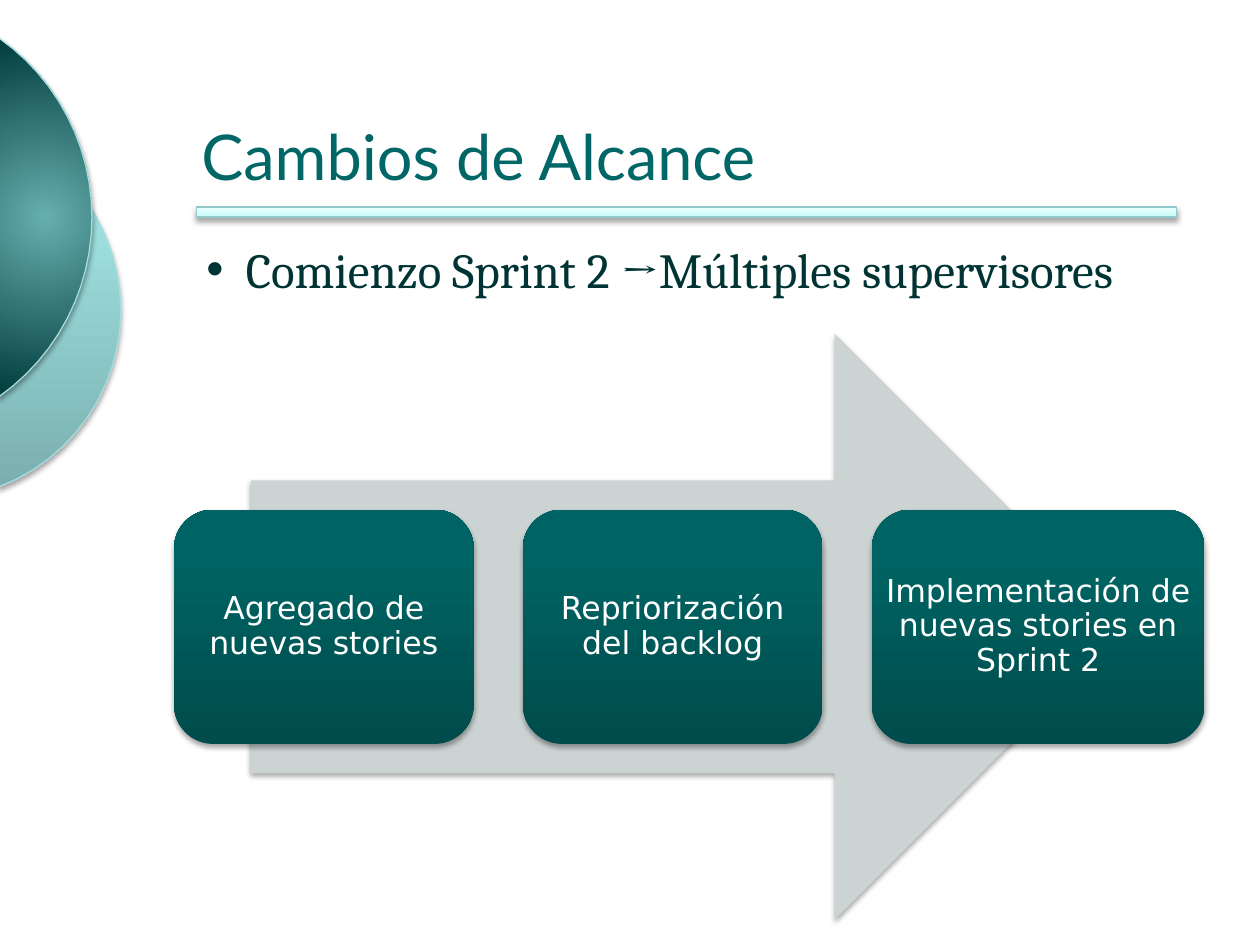
import math

from pptx import Presentation
from pptx.dml.color import RGBColor
from pptx.enum.shapes import MSO_SHAPE
from pptx.enum.text import MSO_ANCHOR, PP_ALIGN
from pptx.oxml import parse_xml
from pptx.oxml.ns import nsdecls, qn
from pptx.util import Pt

RECT, ROUND, ARROW = MSO_SHAPE.RECTANGLE, MSO_SHAPE.ROUNDED_RECTANGLE, MSO_SHAPE.RIGHT_ARROW
MIDDLE, BOTTOM = MSO_ANCHOR.MIDDLE, MSO_ANCHOR.BOTTOM
LEFT, CENTER = PP_ALIGN.LEFT, PP_ALIGN.CENTER

COLORS = {
    "title": "006666", "body": "003333", "white": "FFFFFF", "arrow": "CCD3D3",
    "rim": "A8DEDE", "edge": "94C9C9",
}
UP = '<a:lin ang="16200000" scaled="0"/>'
RADIAL = ('<a:path path="circle"><a:fillToRect l="50000" t="50000" '
          'r="50000" b="50000"/></a:path>')
BACK = [(0, "7BAFAF"), (80, "A0E3E3"), (100, "9FE5E5")]
FRONT = [(0, "67AEAE"), (100, "003C3C")]
BAR = [(0, "C1FBFB"), (35, "D3FBFB"), (100, "EDFFFF")]
STEP = [(0, "004C4C"), (80, "006363"), (100, "006363")]


def rgb(name):
    return RGBColor.from_string(COLORS[name])


def blend(shape, stops, path=UP):
    """Fill the shape with a gradient of (percent, hex) stops."""
    shape.fill.gradient()
    old = shape.element.spPr.find(qn("a:gradFill"))
    marks = "".join(f'<a:gs pos="{pos * 1000}"><a:srgbClr val="{tint}"/></a:gs>'
                    for pos, tint in stops)
    new = parse_xml(f'<a:gradFill {nsdecls("a")} rotWithShape="1">'
                    f'<a:gsLst>{marks}</a:gsLst>{path}</a:gradFill>')
    old.getparent().replace(old, new)


def outline(shape, name=None):
    if name:
        shape.line.color.rgb = rgb(name)
        shape.line.width = Pt(0.75)
    else:
        shape.line.fill.background()


def shade(shape):
    """Give the shape a soft shadow straight below it."""
    shape.shadow.inherit = False
    effects = shape.element.spPr.find(qn("a:effectLst"))
    effects.append(parse_xml(
        f'<a:outerShdw {nsdecls("a")} blurRad="{Pt(3.1)}" dist="{Pt(1.8)}" '
        'dir="5400000" rotWithShape="0"><a:srgbClr val="000000">'
        '<a:alpha val="35000"/></a:srgbClr></a:outerShdw>'))


def write(shape, text, font, size, color, align=LEFT):
    frame = shape.text_frame
    frame.word_wrap = True
    frame.text = text
    para = frame.paragraphs[0]
    para.alignment = align
    face = para.runs[0].font
    face.name, face.size, face.color.rgb = font, Pt(size), rgb(color)
    return para


def add_disc(slide, box, stops, path=UP, count=24):
    """Draw the part of a round disc that rises from a vertical chord."""
    left, top, width, height = box
    radius = (height ** 2 / 4 + width ** 2) / (2 * width)
    mid_x, mid_y = left + width - radius, top + height / 2
    sweep = math.asin(height / 2 / radius)
    angles = [sweep * (2 * i / count - 1) for i in range(count + 1)]
    points = [(Pt(mid_x + radius * math.cos(a)), Pt(mid_y + radius * math.sin(a)))
              for a in angles]
    pen = slide.shapes.build_freeform(*points[0])
    pen.add_line_segments(points[1:], close=True)
    disc = pen.convert_to_shape()
    blend(disc, stops, path)
    outline(disc, "rim")
    shade(disc)


def add_head(slide, box):
    left, top, width, height = box
    bar = slide.shapes.add_shape(RECT, Pt(left + 4.3), Pt(top + height + 4.3),
                                 Pt(width - 8), Pt(5.8))
    blend(bar, BAR)
    outline(bar, "edge")
    shade(bar)
    title = slide.shapes.add_textbox(*map(Pt, box))
    title.text_frame.vertical_anchor = BOTTOM
    write(title, "Cambios de Alcance", "Lato", 36, "title")


def add_point(slide, box):
    item = slide.shapes.add_textbox(*map(Pt, box))
    para = write(item, "Comienzo Sprint 2 →Múltiples supervisores",
                 "Cambria", 28, "body")
    props = para._p.get_or_add_pPr()
    props.set("marL", str(Pt(22.5)))
    props.set("indent", str(-Pt(22.5)))
    props.append(parse_xml(f'<a:buFont {nsdecls("a")} typeface="Arial"/>'))
    props.append(parse_xml(f'<a:buChar {nsdecls("a")} char="•"/>'))


def add_flow(slide, box, steps, gap=28):
    """Place a wide arrow and a row of steps across its middle."""
    left, top, width, height = box
    arrow = slide.shapes.add_shape(ARROW, Pt(left + 44), Pt(top), Pt(501), Pt(height))
    arrow.fill.solid()
    arrow.fill.fore_color.rgb = rgb("arrow")
    outline(arrow)
    shade(arrow)
    tall = height * 0.4
    unit = (width - gap * (len(steps) - 1)) / sum(share for _, share in steps)
    for text, share in steps:
        card = slide.shapes.add_shape(ROUND, Pt(left), Pt(top + (height - tall) / 2),
                                      Pt(unit * share), Pt(tall))
        blend(card, STEP)
        outline(card)
        shade(card)
        frame = card.text_frame
        frame.margin_left = frame.margin_right = 0
        frame.vertical_anchor = MIDDLE
        write(card, text, "DejaVu Sans", 18, "white", CENTER).line_spacing = 0.9
        left += unit * share + gap


def main():
    deck = Presentation()
    deck.slide_width, deck.slide_height = Pt(720), Pt(540)
    slide = deck.slides.add_slide(deck.slide_layouts[6])
    add_disc(slide, (-0.7, 76.3, 69.8, 202), BACK)
    add_disc(slide, (-0.7, 21.6, 53.3, 205.2), FRONT, RADIAL)
    add_head(slide, (108, 24, 568, 90))
    add_point(slide, (110.9, 133.2, 561.6, 41))
    add_flow(slide, (99.4, 190.8, 589, 334.8), [
        ("Agregado de nuevas stories", 1),
        ("Repriorización del backlog", 1),
        ("Implementación de nuevas stories en Sprint 2", 1.11),
    ])
    deck.save("out.pptx")


if __name__ == "__main__":
    main()
